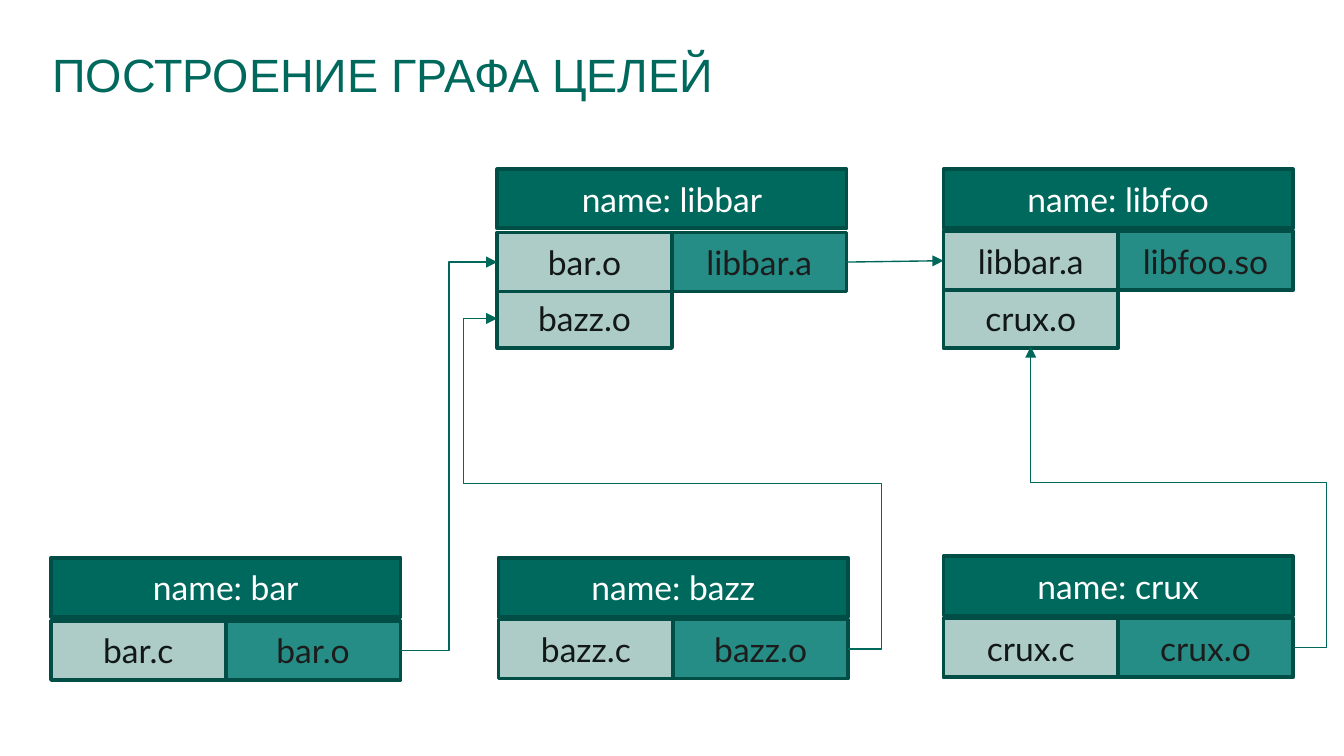
from lxml import etree
from pptx import Presentation
from pptx.dml.color import RGBColor
from pptx.enum import shapes, text
from pptx.oxml.ns import qn
from pptx.util import Inches, Pt

COLORS = {
    "head": "00695D", "out": "258D86", "dep": "ADCCC7", "edge": "004E45",
    "link": "00675B", "white": "FFFFFF", "dark": "1C1C1C", "ink": "121817",
}
WIDE, HALF, HIGH = 2.6, 1.3, 0.44


def rgb(name):
    return RGBColor.from_string(COLORS[name])


def put_text(shape, words, size=18, font="Lato", color="ink",
             align=text.PP_ALIGN.CENTER, anchor=text.MSO_ANCHOR.MIDDLE):
    frame = shape.text_frame
    frame.word_wrap = True
    frame.vertical_anchor = anchor
    para = frame.paragraphs[0]
    para.alignment = align
    run = para.add_run()
    run.text = words
    run.font.size = Pt(size)
    run.font.name = font
    run.font.color.rgb = rgb(color)
    return frame


deck = Presentation()
deck.slide_width = Inches(10)
deck.slide_height = Inches(10 * 9 / 16)
slide = deck.slides.add_slide(deck.slide_layouts[6])

# Title
title = slide.shapes.add_textbox(Inches(0.39), Inches(0.35), Inches(9.22), Inches(0.74))
frame = put_text(title, "ПОСТРОЕНИЕ ГРАФА ЦЕЛЕЙ", size=25, font="Arial", color="head",
                 align=text.PP_ALIGN.LEFT, anchor=text.MSO_ANCHOR.TOP)
frame.margin_left = frame.margin_top = frame.margin_right = frame.margin_bottom = 0
frame.paragraphs[0].line_spacing = Pt(29.2)

# Targets: name, left, top, top of the file row, output, inputs
targets = [
    ("libfoo", 7.02, 1.26, 1.72, "libfoo.so", ["libbar.a", "crux.o"]),
    ("libbar", 3.70, 1.26, 1.73, "libbar.a", ["bar.o", "bazz.o"]),
    ("bar", 0.38, 4.15, 4.62, "bar.o", ["bar.c"]),
    ("crux", 7.02, 4.14, 4.60, "crux.o", ["crux.c"]),
    ("bazz", 3.71, 4.15, 4.61, "bazz.o", ["bazz.c"]),
]
for name, left, top, row, out, deps in targets:
    group = slide.shapes.add_group_shape()
    cells = [(f"name: {name}", left, top, WIDE, "head", "white"),
             (out, left + HALF, row, HALF, "out", "dark")]
    tops = [row, 2.15]
    cells += [(dep, left, y, HALF, "dep", "ink") for dep, y in zip(deps, tops)][::-1]
    for words, x, y, width, fill, color in cells:
        box = group.shapes.add_shape(shapes.MSO_SHAPE.RECTANGLE, Inches(x), Inches(y),
                                     Inches(width), Inches(HIGH))
        box.shadow.inherit = False
        box.fill.solid()
        box.fill.fore_color.rgb = rgb(fill)
        box.line.color.rgb = rgb("edge")
        box.line.width = Pt(2)
        put_text(box, words, color=color)

# Links: start, end, preset, bend positions as shares of the size
links = [
    ((9.62, 4.82), (7.67, 2.58), "bentConnector4", [-0.128, 0.549]),
    ((2.98, 4.84), (3.70, 1.95), "bentConnector3", [0.5]),
    ((6.31, 4.83), (3.70, 2.37), "bentConnector5", [-0.096, 0.5, 1.096]),
    ((6.30, 1.95), (7.02, 1.94), "straightConnector1", []),
]
for start, end, preset, bends in links:
    link = slide.shapes.add_connector(shapes.MSO_CONNECTOR.ELBOW,
                                      *map(Inches, start + end))
    link.line.color.rgb = rgb("link")
    link.line.width = Pt(0.75)
    props = link._element.spPr
    geom = props.find(qn("a:prstGeom"))
    geom.set("prst", preset)
    guides = geom.find(qn("a:avLst"))
    for num, bend in enumerate(bends, 1):
        etree.SubElement(guides, qn("a:gd"), name=f"adj{num}",
                         fmla=f"val {round(bend * 100000)}")
    etree.SubElement(props.find(qn("a:ln")), qn("a:tailEnd"), type="triangle")
    etree.SubElement(props, qn("a:effectLst"))

deck.save("out.pptx")
